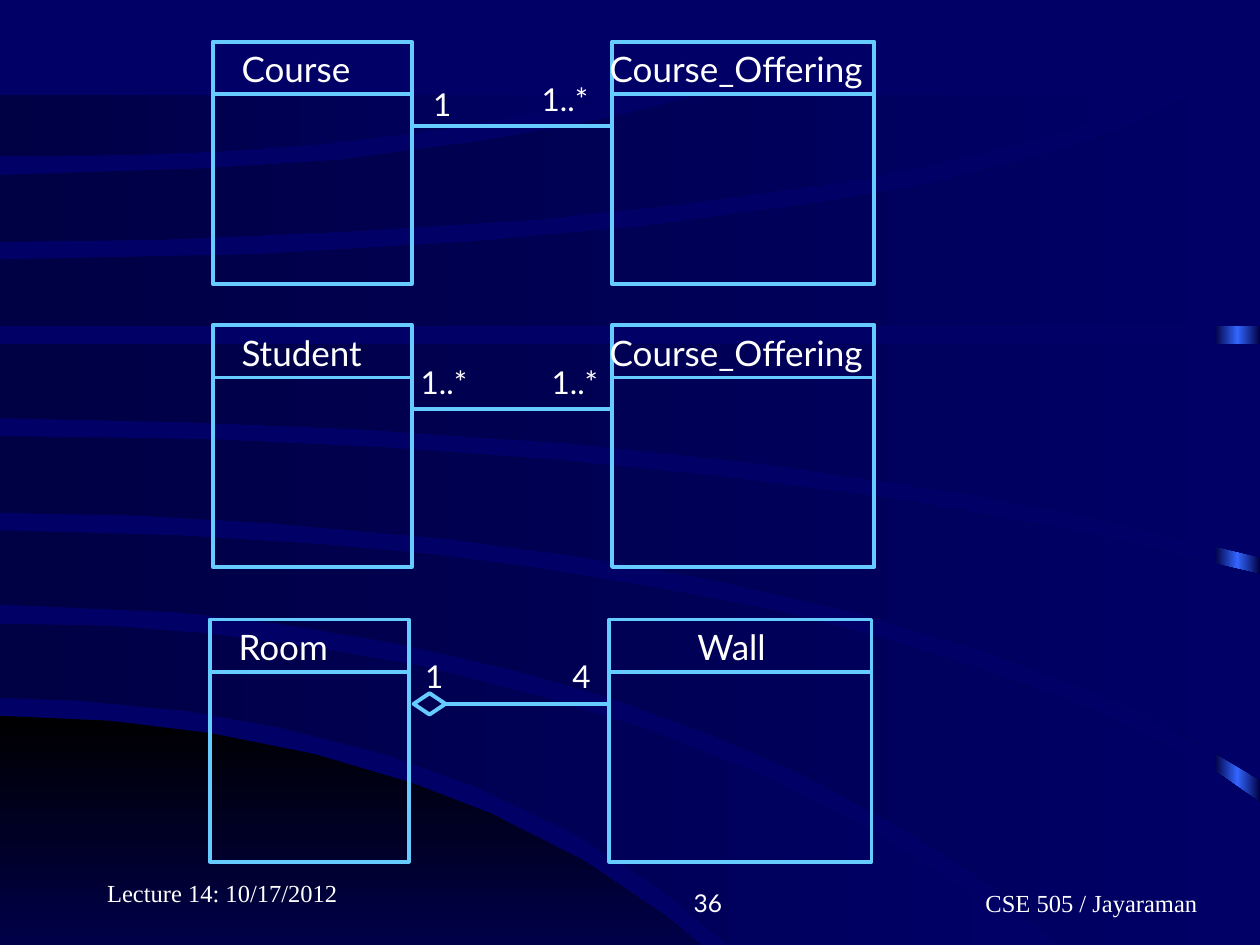
from copy import deepcopy
from dataclasses import dataclass

from lxml.etree import SubElement
from pptx import Presentation
from pptx.dml.color import RGBColor as RGB
from pptx.enum.shapes import MSO_CONNECTOR as CONN, MSO_SHAPE as SHAPE
from pptx.enum.text import MSO_ANCHOR as ANCHOR, MSO_AUTO_SIZE as AUTO, PP_ALIGN as ALIGN
from pptx.oxml.ns import qn
from pptx.util import Cm, Pt


@dataclass(frozen=True)
class Theme:
    back: RGB = RGB(0x00, 0x00, 0x66)
    dark: RGB = RGB(0x00, 0x00, 0x44)
    glow: RGB = RGB(0x33, 0x66, 0xFF)
    black: RGB = RGB(0x00, 0x00, 0x00)
    corner_end: RGB = RGB(0x00, 0x00, 0x48)
    line: RGB = RGB(0x66, 0xCC, 0xFF)
    text: RGB = RGB(0xFF, 0xFF, 0xFF)
    font: str = "Lato"
    footer_font: str = "Times New Roman"
    name_size: Pt = Pt(20)
    count_size: Pt = Pt(18)
    footer_size: Pt = Pt(14)
    stroke: Pt = Pt(2.25)


@dataclass(frozen=True)
class Label:
    text: str
    dx: float
    dy: float
    width: float


@dataclass(frozen=True)
class Relation:
    x: float
    y: float
    names: tuple[Label, Label]
    counts: tuple[Label, Label]
    aggregate: bool = False


@dataclass(frozen=True)
class Footer:
    text: str
    x: float
    y: float
    width: float
    align: ALIGN
    font: str
    indent: float = 0


T = Theme()
WIDTH, HEIGHT = 25.4, 19.05
BOX_H, HEADER_H, LINK_DY = 4.88, 1.06, 1.7
LEFT_W, RIGHT_W, RIGHT_DX = 4.01, 5.29, 8.05
DIAMOND_DX, DIAMOND_W, DIAMOND_H = 4.11, 0.64, 0.43

CORNER = [
    (0, 14.43), (2.21, 14.53), (4.22, 14.78), (6.35, 15.21), (8.33, 15.8), (9.83, 16.38),
    (11.76, 17.35), (13.44, 18.49), (14.12, HEIGHT), (0, HEIGHT),
]
BANDS = [
    [(0, 12.57), (2.24, 12.62), (4.24, 12.78), (6.35, 13.06), (8.53, 13.44), (10.9, 14.05),
     (13.11, 14.73), (15.42, 15.67), (17.5, 16.71), (19.48, 17.96), (20.83, HEIGHT),
     (14.68, HEIGHT), (13.31, 17.91), (11.56, 16.79), (9.58, 15.85), (7.8, 15.21),
     (5.64, 14.66), (3.78, 14.33), (1.52, 14.12), (0, 14.07)],
    [(0, 10.69), (3.68, 10.8), (6.38, 10.97), (8.74, 11.18), (10.85, 11.46), (13.26, 11.86),
     (15.75, 12.34), (17.63, 12.83), (19.35, 13.36), (21.49, 14.1), (22.99, 14.76),
     (24.64, 15.65), (WIDTH, 16.18), (WIDTH, HEIGHT), (21.39, HEIGHT), (19.84, 17.75),
     (18.31, 16.76), (16.18, 15.6), (14.27, 14.78), (12.27, 14.05), (10.31, 13.49),
     (7.92, 12.95), (5.64, 12.57), (3.58, 12.34), (0, 12.19)],
    [(0, 8.79), (4.29, 8.86), (7.67, 9.02), (11.15, 9.27), (14.4, 9.6), (18.16, 10.08),
     (21.84, 10.74), (WIDTH, 11.58), (WIDTH, 15.72), (24.18, 14.99), (22.4, 14.07),
     (19.89, 13.13), (17.37, 12.37), (14.25, 11.66), (11.79, 11.23), (8.94, 10.85),
     (5.38, 10.54), (2.79, 10.39), (0, 10.34)],
    [(0, 6.93), (WIDTH, 6.93), (WIDTH, 11.23), (22, 10.41), (19.28, 9.91), (15.44, 9.35),
     (11.58, 8.94), (7.09, 8.64), (3.76, 8.51), (0, 8.43)],
    [(0, 5.23), (5.18, 5.13), (9.47, 4.88), (12.93, 4.57), (16.38, 4.11), (18.67, 3.73),
     (21.23, 3.07), (22.68, 2.62), (23.98, 1.91), (WIDTH, 1.91), (WIDTH, 6.58), (0, 6.58)],
    [(0, 3.53), (4.09, 3.4), (6.81, 3.23), (9.75, 2.84), (12.27, 2.39), (14.15, 1.91),
     (23.32, 1.91), (21.72, 2.57), (19.63, 3.12), (17.37, 3.61), (13.87, 4.09),
     (10.82, 4.42), (6.88, 4.67), (3.23, 4.83), (0, 4.88)],
    [(0, 1.91), (0, 3.15), (2.59, 3.12), (4.42, 3.05), (6.45, 2.9), (8.81, 2.62),
     (12.75, 1.91)],
]

OFFERING = Label("Course_Offering", 7.75, 0, 5.94)
RELATIONS = [
    Relation(4.29, 0.84, (Label("Course", 0.33, 0, 2.84), OFFERING),
             (Label("1", 4.19, 0.74, 0.86), Label("1..*", 6.38, 0.64, 1.55))),
    Relation(4.29, 6.55, (Label("Student", 0.33, 0, 3.1), OFFERING),
             (Label("1..*", 3.94, 0.64, 1.55), Label("1..*", 6.58, 0.64, 1.55))),
    Relation(4.23, 12.49, (Label("Room", 0.33, 0, 2.46), Label("Wall", 9.58, 0, 1.93)),
             (Label("1", 4.09, 0.64, 0.86), Label("4", 7.06, 0.64, 0.86)), True),
]
FOOTERS = [
    Footer("CSE 505 / Jayaraman", 16.71, 17.35, 8.05, ALIGN.CENTER, T.footer_font, 2.54),
    Footer("Lecture 14: 10/17/2012", 1.91, 17.15, 5.28, ALIGN.LEFT, T.footer_font),
    Footer("36", 9.53, 17.35, 5.28, ALIGN.RIGHT, T.font),
]


def paint_gradient(s, colors: list[RGB], angle: int = 0) -> None:
    s.shadow.inherit = False
    s.line.fill.background()
    s.fill.gradient()
    s.fill.gradient_angle = angle
    stops = s._element.spPr.find(".//" + qn("a:gsLst"))
    for _ in colors[2:]:
        stops.insert(1, deepcopy(stops[0]))
    for i, (stop, color) in enumerate(zip(s.fill.gradient_stops, colors)):
        stop.position = i / (len(colors) - 1)
        stop.color.rgb = color


def add_area(shapes, points: list[tuple[float, float]], colors: list[RGB], angle: int = 0) -> None:
    start, *rest = [(Cm(x), Cm(y)) for x, y in points]
    builder = shapes.build_freeform(*start)
    builder.add_line_segments(rest, close=True)
    paint_gradient(builder.convert_to_shape(), colors, angle)


def add_outline(shapes, kind: SHAPE, x: float, y: float, w: float, h: float) -> None:
    s = shapes.add_shape(kind, Cm(x), Cm(y), Cm(w), Cm(h))
    s.shadow.inherit = False
    s.fill.background()
    s.line.color.rgb = T.line
    s.line.width = T.stroke


def add_rule(shapes, x1: float, x2: float, y: float) -> None:
    s = shapes.add_connector(CONN.STRAIGHT, Cm(x1), Cm(y), Cm(x2), Cm(y))
    s.line.color.rgb = T.line
    s.line.width = T.stroke
    SubElement(s._element.spPr, qn("a:effectLst"))


def add_text(shapes, text: str, x: float, y: float, w: float, h: float, size: Pt, font: str = T.font):
    tf = shapes.add_textbox(Cm(x), Cm(y), Cm(w), Cm(h)).text_frame
    p = tf.paragraphs[0]
    p.text = text
    p.font.size, p.font.name = size, font
    p.font.color.rgb = T.text
    return tf


def add_label(shapes, rel: Relation, label: Label, size: Pt, height: float) -> None:
    tf = add_text(shapes, label.text, rel.x + label.dx, rel.y + label.dy, label.width, height, size)
    tf.word_wrap = False
    tf.auto_size = AUTO.SHAPE_TO_FIT_TEXT


def add_relation(shapes, rel: Relation) -> None:
    for x, w in ((rel.x, LEFT_W), (rel.x + RIGHT_DX, RIGHT_W)):
        add_outline(shapes, SHAPE.RECTANGLE, x, rel.y, w, BOX_H)
        add_rule(shapes, x, x + w, rel.y + HEADER_H)
    link_x, link_y = rel.x + LEFT_W, rel.y + LINK_DY
    if rel.aggregate:
        diamond_x = rel.x + DIAMOND_DX
        add_outline(shapes, SHAPE.DIAMOND, diamond_x, link_y - DIAMOND_H / 2, DIAMOND_W, DIAMOND_H)
        link_x = diamond_x + DIAMOND_W
    add_rule(shapes, link_x, rel.x + RIGHT_DX, link_y)
    for name in rel.names:
        add_label(shapes, rel, name, T.name_size, 1.12)
    for count in rel.counts:
        add_label(shapes, rel, count, T.count_size, 1.02)


def add_footer(shapes, f: Footer) -> None:
    tf = add_text(shapes, f.text, f.x, f.y, f.width, 1.27, T.footer_size, f.font)
    tf.word_wrap = True
    tf.vertical_anchor = ANCHOR.BOTTOM
    p = tf.paragraphs[0]
    p.alignment = f.align
    if f.indent:
        p._p.get_or_add_pPr().set("marL", str(Cm(f.indent)))


def main() -> None:
    prs = Presentation()
    prs.slide_width, prs.slide_height = Cm(WIDTH), Cm(HEIGHT)
    slide = prs.slides.add_slide(prs.slide_layouts[6])
    slide.background.fill.solid()
    slide.background.fill.fore_color.rgb = T.back
    shapes = slide.shapes
    strip = shapes.add_shape(SHAPE.RECTANGLE, Cm(24.49), Cm(1.96), Cm(0.91), Cm(17.09))
    paint_gradient(strip, [T.dark, T.glow, T.dark])
    add_area(shapes, CORNER, [T.black, T.corner_end], 270)
    for band in BANDS:
        add_area(shapes, band, [T.dark, T.back])
    for rel in RELATIONS:
        add_relation(shapes, rel)
    for footer in FOOTERS:
        add_footer(shapes, footer)
    prs.save("out.pptx")


if __name__ == "__main__":
    main()
